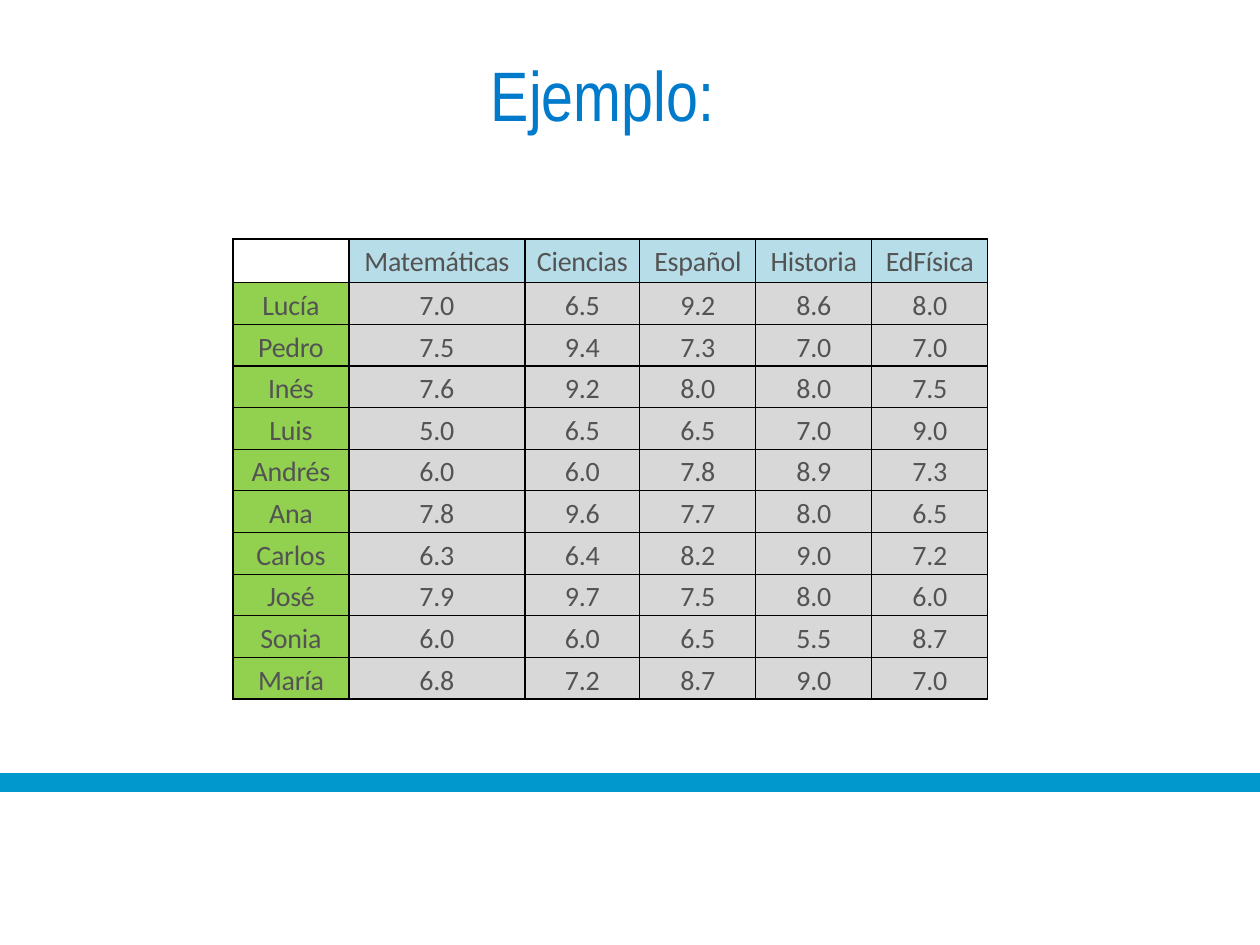
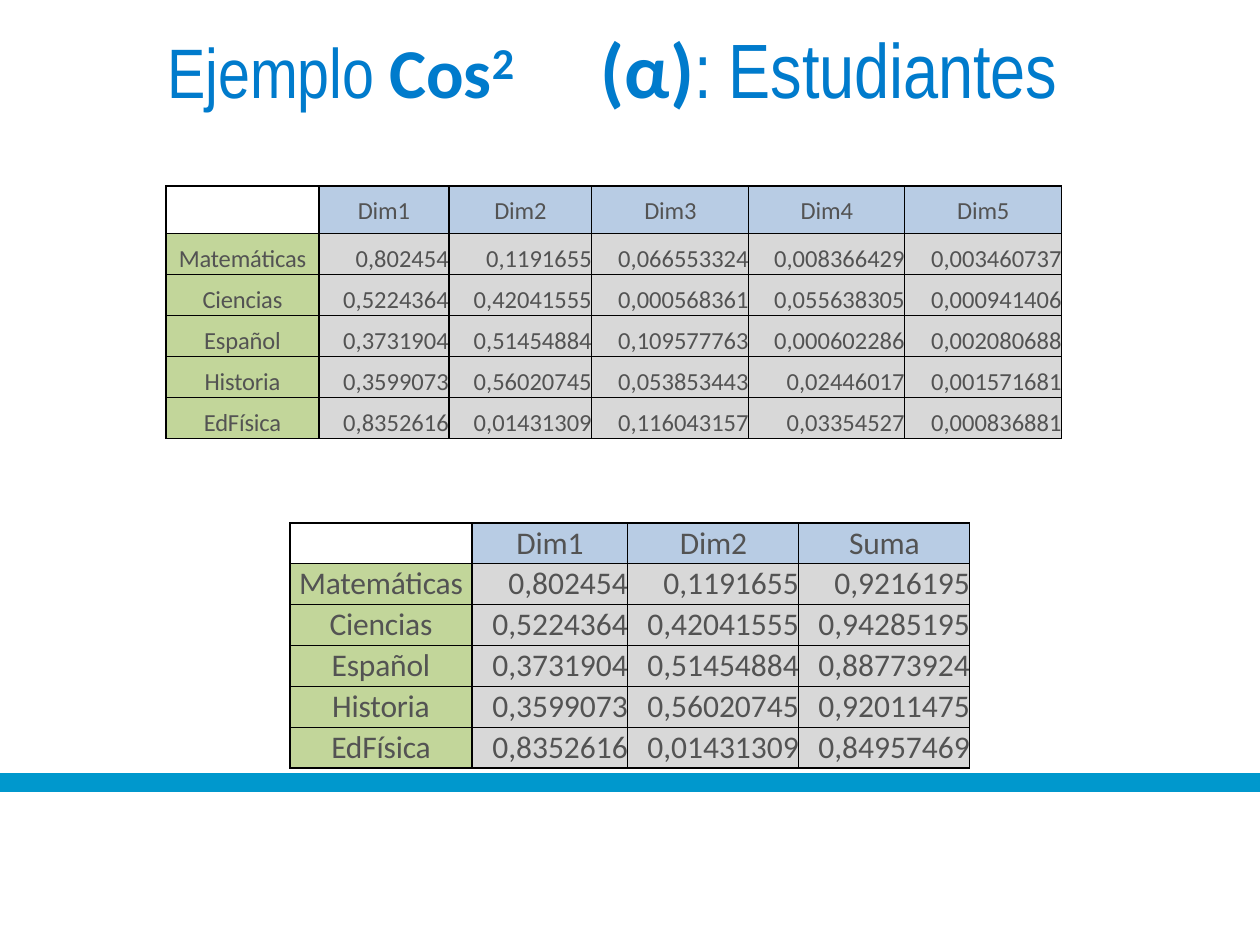
from lxml import etree
from pptx import Presentation
from pptx import util as u
from pptx.dml.color import RGBColor
from pptx.enum import shapes, text
from pptx.oxml.ns import qn

EMU_PER_PX = u.Inches(1) / 126

BAND_BLUE = RGBColor(0x00, 0x98, 0xCD)
TITLE_BLUE = RGBColor(0x00, 0x7B, 0xCC)
BODY_GREY = RGBColor(0x53, 0x53, 0x53)
VALUE_GREY = RGBColor(0xD8, 0xD8, 0xD8)
SKY = RGBColor(0xB6, 0xDD, 0xE8)
LIME = RGBColor(0x92, 0xD0, 0x50)
PALE_BLUE = RGBColor(0xB8, 0xCC, 0xE4)
PALE_GREEN = RGBColor(0xC2, 0xD6, 0x9A)
BORDER_HEX = "000000"

TITLE_FONT = "Arial Narrow"
BODY_FONT = "Calibri"
TITLE_RUN = {"name": TITLE_FONT, "size": u.Pt(40), "bold": False}
FORMULA_RUN = {"name": BODY_FONT, "size": u.Pt(40), "bold": True}

SUBJECTS = ["Matemáticas", "Ciencias", "Español", "Historia", "EdFísica"]
GRADES = [
    ["", *SUBJECTS],
    ["Lucía", "7.0", "6.5", "9.2", "8.6", "8.0"],
    ["Pedro", "7.5", "9.4", "7.3", "7.0", "7.0"],
    ["Inés", "7.6", "9.2", "8.0", "8.0", "7.5"],
    ["Luis", "5.0", "6.5", "6.5", "7.0", "9.0"],
    ["Andrés", "6.0", "6.0", "7.8", "8.9", "7.3"],
    ["Ana", "7.8", "9.6", "7.7", "8.0", "6.5"],
    ["Carlos", "6.3", "6.4", "8.2", "9.0", "7.2"],
    ["José", "7.9", "9.7", "7.5", "8.0", "6.0"],
    ["Sonia", "6.0", "6.0", "6.5", "5.5", "8.7"],
    ["María", "6.8", "7.2", "8.7", "9.0", "7.0"],
]
COSINES = [
    ["0,802454", "0,1191655", "0,066553324", "0,008366429", "0,003460737"],
    ["0,5224364", "0,42041555", "0,000568361", "0,055638305", "0,000941406"],
    ["0,3731904", "0,51454884", "0,109577763", "0,000602286", "0,002080688"],
    ["0,3599073", "0,56020745", "0,053853443", "0,02446017", "0,001571681"],
    ["0,8352616", "0,01431309", "0,116043157", "0,03354527", "0,000836881"],
]
SUMS = ["0,9216195", "0,94285195", "0,88773924", "0,92011475", "0,84957469"]


def px(length):
    return u.Emu(round(length * EMU_PER_PX))


def apply(target, formats):
    for attribute, value in formats.items():
        setattr(target, attribute, value)


def add_run(paragraph, words, formats, colour, **xml_attributes):
    """Add a run; xml_attributes hold spacing (spc) and baseline."""
    run = paragraph.add_run()
    run.text = words
    apply(run.font, formats)
    run.font.color.rgb = colour
    for attribute, value in xml_attributes.items():
        run._r.get_or_add_rPr().set(attribute, str(value))


def add_slide(prs):
    """Add a blank slide with the blue band."""
    slide = prs.slides.add_slide(prs.slide_layouts[6])
    band = slide.shapes.add_shape(
        shapes.MSO_SHAPE.RECTANGLE, px(0), px(773), prs.slide_width, px(19))
    band.shadow.inherit = False
    band.fill.solid()
    band.fill.fore_color.rgb = BAND_BLUE
    band.line.fill.background()
    return slide


def add_title(slide, left, top, width, indent, runs, tab=None):
    """runs holds (words, font formats, XML attributes)."""
    frame = slide.shapes.add_textbox(px(left), px(top), px(width), px(96)).text_frame
    apply(frame, {
        "word_wrap": True,
        "auto_size": text.MSO_AUTO_SIZE.SHAPE_TO_FIT_TEXT,
        "vertical_anchor": text.MSO_ANCHOR.MIDDLE,
        "margin_left": 0, "margin_right": 0, "margin_bottom": 0,
        "margin_top": px(1),
    })
    heading = frame.paragraphs[0]
    properties = heading._p.get_or_add_pPr()
    properties.set("marL", str(px(indent)))
    if tab:
        tabs = etree.SubElement(properties, qn("a:tabLst"))
        etree.SubElement(tabs, qn("a:tab"), pos=str(px(tab)), algn="l")
    for words, formats, xml_attributes in runs:
        add_run(heading, words, formats, TITLE_BLUE, **xml_attributes)


def add_borders(cell):
    properties = cell._tc.get_or_add_tcPr()
    for side in ("lnL", "lnR", "lnT", "lnB"):
        line = etree.SubElement(properties, qn(f"a:{side}"), w=str(u.Pt(0.75)))
        fill = etree.SubElement(line, qn("a:solidFill"))
        etree.SubElement(fill, qn("a:srgbClr"), val=BORDER_HEX)


def fill_cell(cell, words, size, top_margin, colour, align, spacing):
    apply(cell, {"margin_left": 0, "margin_right": 0, "margin_bottom": 0,
                 "margin_top": px(top_margin)})
    add_borders(cell)
    if not words:
        cell.fill.background()
        return
    cell.fill.solid()
    cell.fill.fore_color.rgb = colour
    entry = cell.text_frame.paragraphs[0]
    entry.alignment = align
    add_run(entry, words, {"name": BODY_FONT, "size": u.Pt(size)}, BODY_GREY, spc=spacing)


def add_grid(slide, left, top, height, widths, rows, size, top_margin,
             head_colour, side_colour, value_align, value_spacing):
    """Add a table with a coloured header row and label column."""
    table = slide.shapes.add_table(
        len(rows), len(widths), px(left), px(top), px(sum(widths)), px(height)).table
    apply(table, {"first_row": False, "horz_banding": False})
    for column, width in zip(table.columns, widths):
        column.width = px(width)
    for r, row in enumerate(rows):
        table.rows[r].height = px(height / len(rows))
        for c, words in enumerate(row):
            if r and c:
                look = VALUE_GREY, value_align, value_spacing
            else:
                look = side_colour if r else head_colour, text.PP_ALIGN.CENTER, -10
            fill_cell(table.cell(r, c), words, size, top_margin, *look)


def add_grades_slide(prs):
    slide = add_slide(prs)
    add_title(slide, 490, 45, 278, 1, [("Ejemplo:", TITLE_RUN, {})])
    add_grid(slide, 233, 239, 458, [116, 176, 115, 116, 116, 116], GRADES, 16, 6,
             SKY, LIME, text.PP_ALIGN.CENTER, -10)


def add_cosines_slide(prs):
    slide = add_slide(prs)
    right = text.PP_ALIGN.RIGHT
    dimensions = [f"Dim{n}" for n in range(1, 6)]
    all_rows = [["", *dimensions]]
    all_rows += [[subject, *values] for subject, values in zip(SUBJECTS, COSINES)]
    sum_rows = [row[:3] + [total] for row, total in zip(all_rows, ["Suma", *SUMS])]

    add_grid(slide, 166, 186, 246, [153, 130, 143, 157, 156, 157], all_rows, 14, 10,
             PALE_BLUE, PALE_GREEN, right, 0)
    add_title(slide, 163, 19, 935, 5, [
        ("Ejemplo ", TITLE_RUN, {"spc": -10}),
        ("Cos", FORMULA_RUN, {"spc": -10}),
        ("2\t", FORMULA_RUN | {"size": u.Pt(43.5)}, {"spc": -10, "baseline": 25000}),
        ("(α)", FORMULA_RUN | {"size": u.Pt(44)}, {"spc": -10}),
        (": Estudiantes", TITLE_RUN | {"size": u.Pt(44)}, {"spc": -10}),
    ], tab=433)
    add_grid(slide, 290, 523, 245, [182, 156, 171, 171], sum_rows, 18, 1,
             PALE_BLUE, PALE_GREEN, right, 0)


def main():
    prs = Presentation()
    prs.slide_width, prs.slide_height = px(1260), px(945)
    add_grades_slide(prs)
    add_cosines_slide(prs)
    prs.save("out.pptx")


if __name__ == "__main__":
    main()
